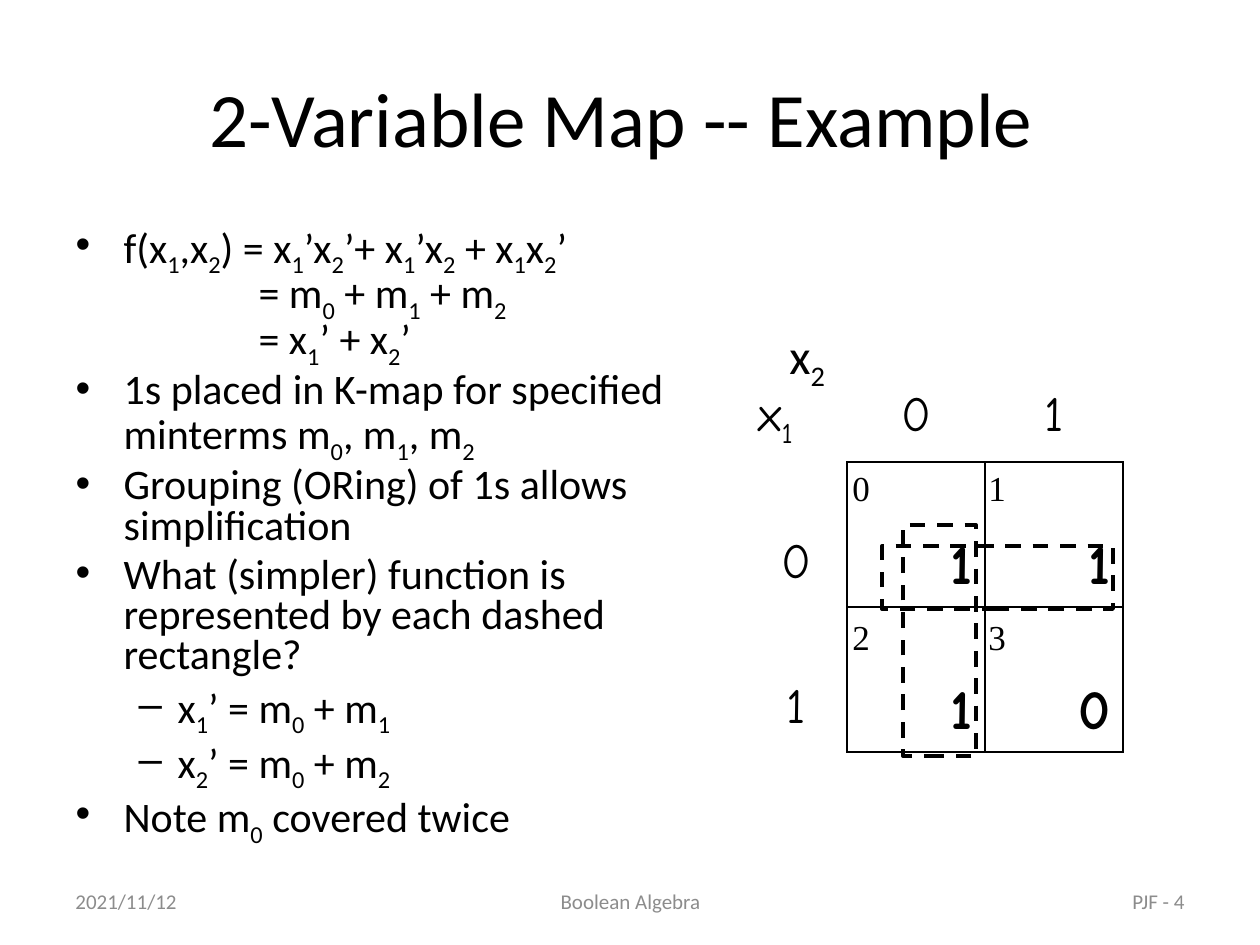
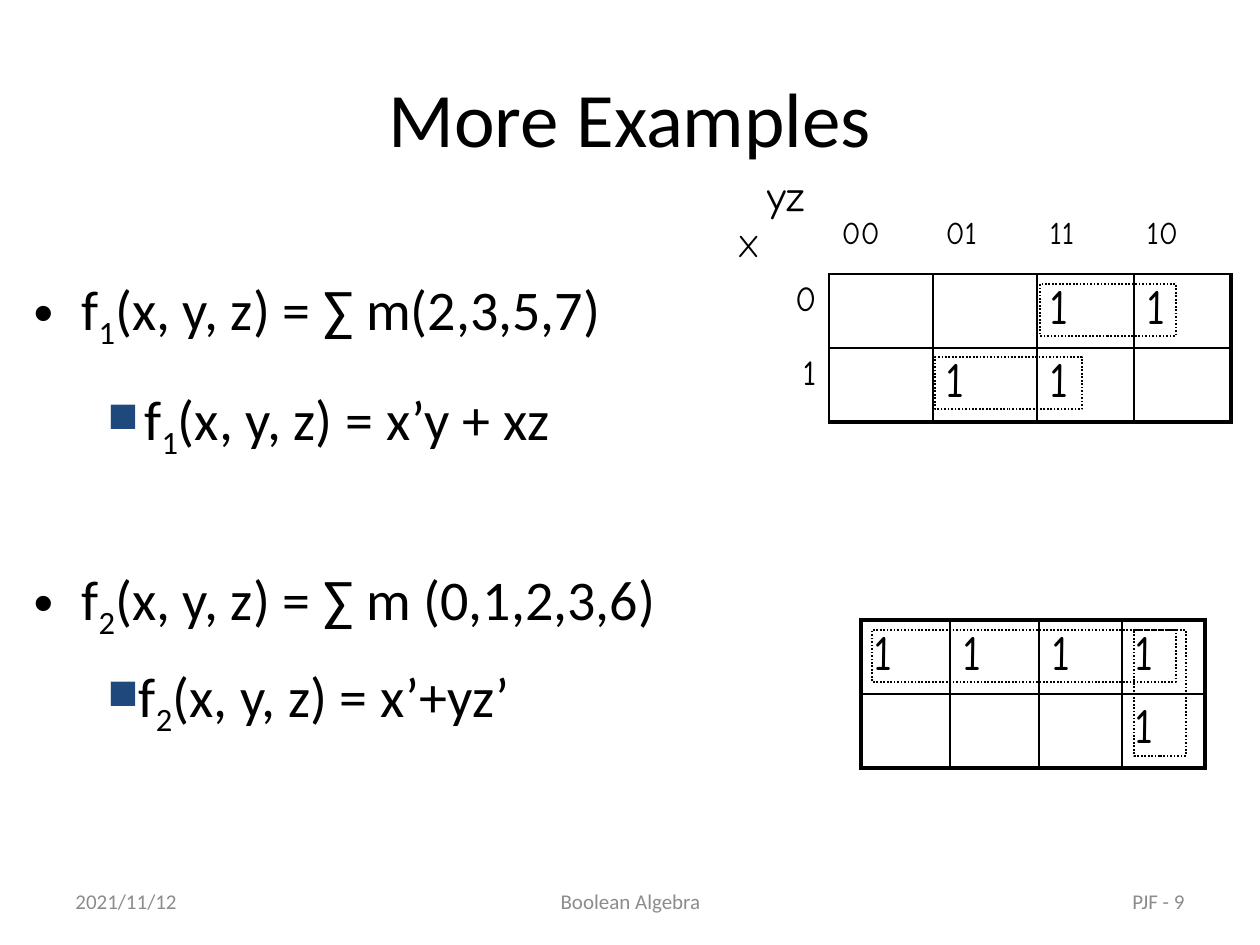
from lxml import etree
from pptx import Presentation
from pptx.dml.color import RGBColor
from pptx.enum.dml import MSO_LINE
from pptx.enum.shapes import MSO_SHAPE
from pptx.enum.text import MSO_ANCHOR, MSO_AUTO_SIZE, PP_ALIGN
from pptx.oxml.ns import qn
from pptx.util import Pt

LEFT, CENTER, RIGHT = PP_ALIGN.LEFT, PP_ALIGN.CENTER, PP_ALIGN.RIGHT
TOP, MIDDLE = MSO_ANCHOR.TOP, MSO_ANCHOR.MIDDLE
DASH, DOTS = MSO_LINE.DASH, MSO_LINE.ROUND_DOT
RECTANGLE = MSO_SHAPE.RECTANGLE

EMU_PER_PX = 914400 / 126
COLORS = {"ink": "000000", "footer": "8C8C8C", "square": "1F497D"}
SANS, HAND, SERIF = "Calibri", "Comic Neue", "Times New Roman"
THIN, THICK = 1, 2.25
TITLE_BOX = (63, 38, 1134, 157)
FOOTERS = [((63, 876, 294, 50), "2021/11/12", LEFT),
           ((431, 876, 399, 50), "Boolean Algebra", CENTER)]
PAGE_BOX = (903, 876, 294, 50)


def px(length):
    return round(length * EMU_PER_PX)


def place(shape, box):
    shape.left, shape.top, shape.width, shape.height = map(px, box)


def add_runs(paragraph, text, size, font=SANS, color="ink", bold=False):
    """Add text run by run; the character after each underscore is a subscript."""
    plain, *marked = text.split("_")
    pieces = [(plain, False)]
    for piece in marked:
        pieces += [(piece[0], True), (piece[1:], False)]
    for piece, subscript in pieces:
        if not piece:
            continue
        run = paragraph.add_run()
        run.text = piece
        run.font.size = Pt(size)
        run.font.name = font
        run.font.bold = bold
        run.font.color.rgb = RGBColor.from_string(COLORS[color])
        if subscript:
            run.font._element.set("baseline", "-25000")


def set_bullet(paragraph, character, margin, hanging, color=None, percent=None):
    """Set the left margin and the bullet; a character of None means no bullet."""
    properties = paragraph._p.get_or_add_pPr()
    properties.set("marL", str(px(margin)))
    properties.set("indent", str(-px(hanging)))
    if color:
        bullet_color = etree.SubElement(properties, qn("a:buClr"))
        etree.SubElement(bullet_color, qn("a:srgbClr"), val=COLORS[color])
    if percent:
        etree.SubElement(properties, qn("a:buSzPct"), val=str(percent * 1000))
    if character:
        etree.SubElement(properties, qn("a:buChar"), char=character)
    else:
        etree.SubElement(properties, qn("a:buNone"))


def next_paragraph(text_frame, index):
    return text_frame.add_paragraph() if index else text_frame.paragraphs[0]


def add_text(slide, box, text, size, font=SANS, color="ink", align=LEFT,
             anchor=TOP, wrap=False):
    text_box = slide.shapes.add_textbox(*map(px, box))
    text_frame = text_box.text_frame
    text_frame.word_wrap = wrap
    text_frame.vertical_anchor = anchor
    paragraph = text_frame.paragraphs[0]
    paragraph.alignment = align
    add_runs(paragraph, text, size, font, color)
    return paragraph


def add_square_item(slide, box, text, hanging):
    paragraph = add_text(slide, box, text, 32)
    set_bullet(paragraph, "■", hanging, hanging, "square", 75)


def add_page(presentation, title, page_number):
    """Add a slide with its title and the three footer texts."""
    slide = presentation.slides.add_slide(presentation.slide_layouts[1])
    place(slide.shapes.title, TITLE_BOX)
    text_frame = slide.shapes.title.text_frame
    text_frame.vertical_anchor = MIDDLE
    text_frame.auto_size = MSO_AUTO_SIZE.NONE
    text_frame.paragraphs[0].alignment = CENTER
    add_runs(text_frame.paragraphs[0], title, 44)
    for box, text, align in FOOTERS + [(PAGE_BOX, f"PJF - {page_number}", RIGHT)]:
        add_text(slide, box, text, 12, color="footer", align=align,
                 anchor=MIDDLE, wrap=True)
    return slide


def fill_body(slide, box, items, size, line_spacing=1.0):
    """Fill the body with items of (text, level, bullet, margin, hanging, space)."""
    body = slide.placeholders[1]
    place(body, box)
    text_frame = body.text_frame
    text_frame.auto_size = MSO_AUTO_SIZE.NONE
    text_frame.vertical_anchor = TOP
    for index, (text, level, bullet, margin, hanging, space) in enumerate(items):
        paragraph = next_paragraph(text_frame, index)
        paragraph.level = level
        set_bullet(paragraph, bullet, margin, hanging)
        paragraph.line_spacing = line_spacing
        paragraph.space_before = Pt(space)
        add_runs(paragraph, text, size)


def edge_width(line, across, first, last, start, end):
    """Width of a grid line; 0 where the line runs through the headings."""
    if line < first or across < first:
        return 0
    return {first: start, last: end}.get(line, THIN)


def set_borders(cell, widths):
    properties = cell._tc.get_or_add_tcPr()
    for side, width in zip("LRTB", widths):
        line = etree.SubElement(properties, qn(f"a:ln{side}"), w=str(Pt(width)))
        if width:
            fill = etree.SubElement(line, qn("a:solidFill"))
            etree.SubElement(fill, qn("a:srgbClr"), val=COLORS["ink"])
        else:
            etree.SubElement(line, qn("a:noFill"))


def add_map(slide, corner, widths, heights, rows, style_of, first=0,
            start=THIN, end=THIN):
    """Add a Karnaugh map whose ruled grid begins at row and column `first`.

    style_of(row, column) gives size, alignment, bold and top margin.
    """
    box = (*corner, sum(widths), sum(heights))
    frame = slide.shapes.add_table(len(rows), len(widths), *map(px, box))
    table = frame.table
    table.first_row = table.horz_banding = False
    for column, width in zip(table.columns, widths):
        column.width = px(width)
    for row, height in zip(table.rows, heights):
        row.height = px(height)
    for i, texts in enumerate(rows):
        for j, text in enumerate(texts):
            cell = table.cell(i, j)
            vertical = [edge_width(j + k, i, first, len(widths), start, end)
                        for k in (0, 1)]
            horizontal = [edge_width(i + k, j, first, len(rows), start, end)
                          for k in (0, 1)]
            set_borders(cell, vertical + horizontal)
            cell.fill.background()
            size, align, bold, margin_top = style_of(i, j)
            cell.margin_top = px(margin_top)
            cell.margin_bottom = 0
            if text:
                paragraph = cell.text_frame.paragraphs[0]
                paragraph.alignment = align
                add_runs(paragraph, text, size, HAND, bold=bold)
    return table


def add_group(slide, box, dash, width):
    """Outline a group of adjacent 1s."""
    outline = slide.shapes.add_shape(RECTANGLE, *map(px, box))
    outline.shadow.inherit = False
    outline.fill.background()
    outline.line.color.rgb = RGBColor.from_string(COLORS["ink"])
    outline.line.width = Pt(width)
    outline.line.dash_style = dash


def two_variable_style(row, column):
    if row and column:
        return 32, RIGHT, True, 72
    return 28, CENTER if row or column else LEFT, False, 72


def three_variable_style(row, column):
    if row == 0:
        return 18, LEFT, False, 48 if column else 6
    return (28, LEFT, False, 6) if column else (20, RIGHT, False, 6)


def answer_style(row, column):
    return 28, LEFT, False, 6


def build_two_variable_slide(presentation):
    slide = add_page(presentation, "2-Variable Map -- Example ", 4)

    def item(text):
        return text, 0, "•", 48, 48, 5

    def step(text):
        return text, 0, None, 183, 0, 0

    def answer(text):
        return text, 1, "–", 102, 39, 5

    first_text, *first_format, _ = item("f(x_1,x_2) = x_1’x_2’+ x_1’x_2 + x_1x_2’")
    fill_body(slide, (63, 220, 667, 624), [
        (first_text, *first_format, 0),
        step("= m_0 + m_1 + m_2"),
        step("= x_1’ + x_2’"),
        item("1s placed in K-map for specified minterms m_0, m_1, m_2"),
        item("Grouping (ORing) of 1s allows simplification"),
        item("What (simpler) function is represented by each dashed rectangle?"),
        answer("x_1’ = m_0 + m_1"),
        answer("x_2’ = m_0 + m_2"),
        item("Note m_0 covered twice"),
    ], 24, 0.8)
    add_map(slide, (746, 315), (101, 138, 138), (147, 145, 145),
            [("x_1", "0", "1"), ("0", "1", "1"), ("1", "1", "0")],
            two_variable_style, first=1)
    add_text(slide, (777, 319, 74, 72), "x_2", 28)
    for minterm in range(4):
        row, column = divmod(minterm, 2)
        add_text(slide, (840 + 136 * column, 460 + 149 * row, 43, 54),
                 str(minterm), 20, SERIF)
    for box in ((903, 525, 73, 231), (882, 546, 231, 63)):
        add_group(slide, box, DASH, THICK)


def build_three_variable_slide(presentation):
    slide = add_page(presentation, "More Examples", 9)
    fill_body(slide, (21, 268, 1134, 624), [
        ("f_1(x, y, z) = ∑ m(2,3,5,7)", 0, "•", 48, 48, 0),
        ("f_2(x, y, z) = ∑ m (0,1,2,3,6)", 0, "•", 48, 48, 122),
    ], 32)
    add_square_item(slide, (95, 378, 575, 79), "f_1(x, y, z) = x’y + xz", 37)
    add_square_item(slide, (95, 655, 508, 79), "f_2(x, y, z) = x’+yz’", 24)

    table = add_map(slide, (725, 168), (104, 104, 104, 97, 97), (106, 74, 74),
                    [("", "00", "01", "11", "10"),
                     ("0", "", "", "1", "1"),
                     ("1", "", "1", "1", "")],
                    three_variable_style, first=1, end=THICK)
    text_frame = table.cell(0, 0).text_frame
    for index, (variable, size, margin) in enumerate([("yz", 24, 30), ("X", 18, 0)]):
        paragraph = next_paragraph(text_frame, index)
        set_bullet(paragraph, None, margin, 0)
        paragraph.space_before = Pt(4 * index)
        add_runs(paragraph, variable, size, HAND)

    add_map(slide, (861, 620), (89, 89, 83, 83), (74, 74),
            [("1", "1", "1", "1"), ("", "", "", "1")],
            answer_style, start=THICK, end=THICK)
    for box in ((1040, 284, 136, 52), (935, 357, 147, 52),
                (872, 630, 304, 52), (1134, 630, 52, 126)):
        add_group(slide, box, DOTS, THIN)


def main():
    presentation = Presentation()
    presentation.slide_width, presentation.slide_height = px(1260), px(945)
    build_two_variable_slide(presentation)
    build_three_variable_slide(presentation)
    presentation.save("out.pptx")


if __name__ == "__main__":
    main()
